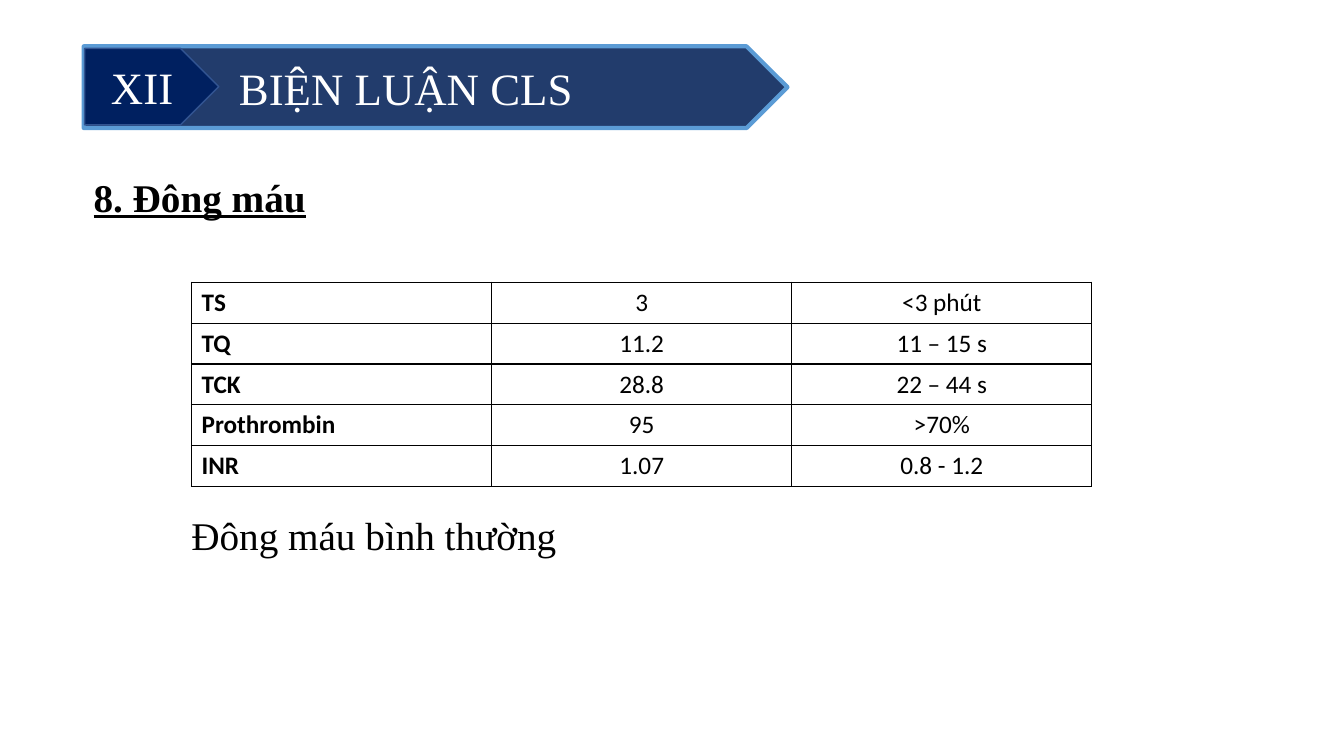
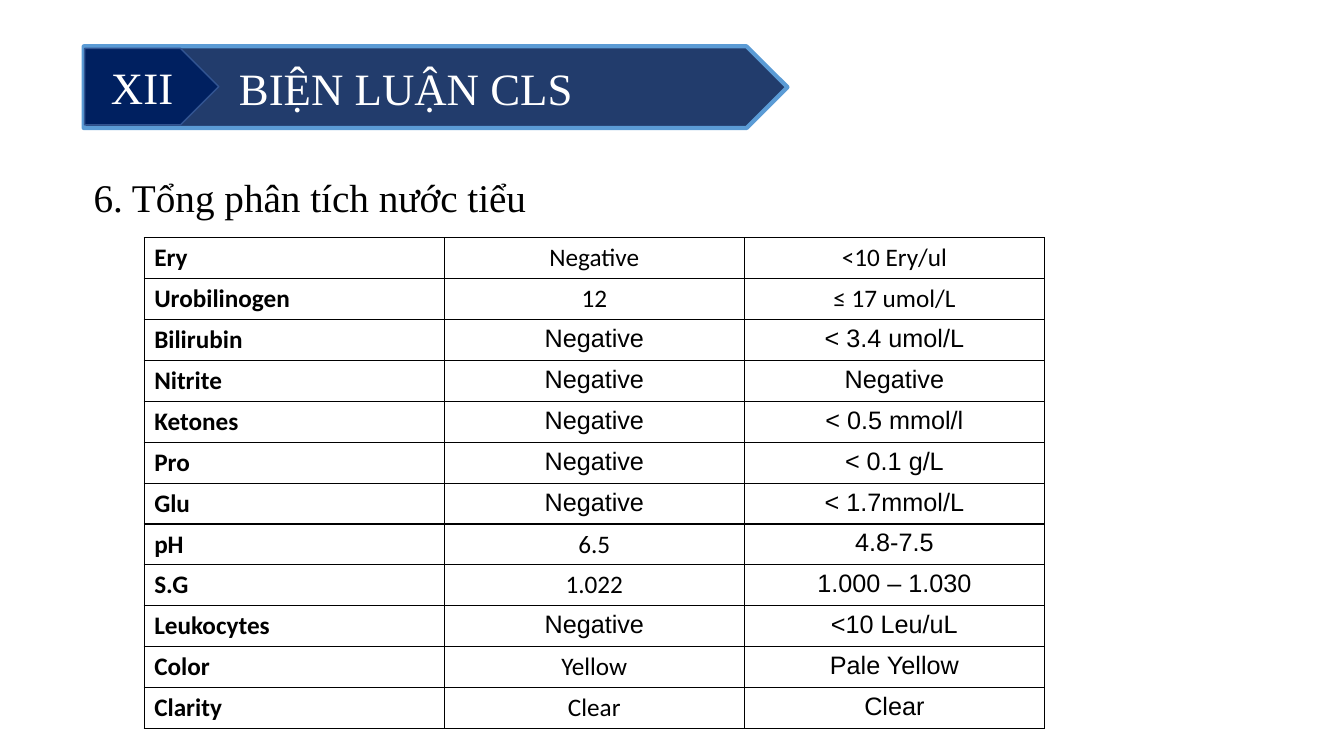
import pptx
import pptx.dml.color
import pptx.enum.shapes
import pptx.enum.text
import pptx.oxml
import pptx.oxml.ns
import pptx.util
from pptx.util import Inches

COLORS = {
    "text": "000000",
    "light": "FFFFFF",
    "banner": "223C6C",
    "banner_line": "5B9BD5",
    "number": "002060",
    "number_line": "325491",
}
SERIF, BODY, SANS = "Times New Roman", "Calibri", "Arial"
ALL_BODY = (BODY, BODY, BODY)
SANS_RANGE = (BODY, BODY, SANS)
SANS_RESULT = (BODY, SANS, SANS)
ALIGN = pptx.enum.text.PP_ALIGN
MIDDLE = pptx.enum.text.MSO_ANCHOR.MIDDLE

COAGULATION = [
    ("TS", "3", "<3 phút", ALL_BODY),
    ("TQ", "11.2", "11 – 15 s", ALL_BODY),
    ("TCK", "28.8", "22 – 44 s", ALL_BODY),
    ("Prothrombin", "95", ">70%", ALL_BODY),
    ("INR", "1.07", "0.8 - 1.2", ALL_BODY),
]
URINALYSIS = [
    ("Ery", "Negative", "<10 Ery/ul", ALL_BODY),
    ("Urobilinogen", "12", "≤ 17 umol/L", ALL_BODY),
    ("Bilirubin", "Negative", "< 3.4 umol/L", SANS_RESULT),
    ("Nitrite", "Negative", "Negative", SANS_RESULT),
    ("Ketones", "Negative", "< 0.5 mmol/l", SANS_RESULT),
    ("Pro", "Negative", "< 0.1 g/L", SANS_RESULT),
    ("Glu", "Negative", "< 1.7mmol/L", SANS_RESULT),
    ("pH", "6.5", "4.8-7.5", SANS_RANGE),
    ("S.G", "1.022", "1.000 – 1.030", SANS_RANGE),
    ("Leukocytes", "Negative", "<10 Leu/uL", SANS_RESULT),
    ("Color", "Yellow", "Pale Yellow", SANS_RANGE),
    ("Clarity", "Clear", "Clear", SANS_RANGE),
]


def rgb(name):
    return pptx.dml.color.RGBColor.from_string(COLORS[name])


class Deck:
    def __init__(self):
        self.presentation = pptx.Presentation()
        self.presentation.slide_width = Inches(13.33)
        self.presentation.slide_height = Inches(7.5)
        self.slide = None

    def set_text(self, frame, text, size, font=SERIF, color="text",
                 align=ALIGN.LEFT, bold=False, underline=False):
        frame.text = text
        paragraph = frame.paragraphs[0]
        paragraph.alignment = align
        paragraph.font.name = font
        paragraph.font.size = pptx.util.Pt(size)
        paragraph.font.bold = bold
        paragraph.font.underline = underline
        paragraph.font.color.rgb = rgb(color)
        return paragraph

    def arrow(self, left, top, width, height, fill, line, weight):
        shape = self.slide.shapes.add_shape(
            pptx.enum.shapes.MSO_SHAPE.PENTAGON,
            Inches(left), Inches(top), Inches(width), Inches(height))
        shape.shadow.inherit = False
        shape.fill.solid()
        shape.fill.fore_color.rgb = rgb(fill)
        shape.line.color.rgb = rgb(line)
        shape.line.width = pptx.util.Pt(weight)
        shape.text_frame.vertical_anchor = MIDDLE
        return shape

    def add_slide(self, number, title):
        layout = self.presentation.slide_layouts.get_by_name("Title Only")
        self.slide = self.presentation.slides.add_slide(layout)
        banner = self.arrow(0.83, 0.46, 6.98, 0.81, "banner", "banner_line", 3)
        badge = self.arrow(0.84, 0.48, 1.33, 0.76, "number", "number_line", 1)
        self.set_text(badge.text_frame, number, 32, color="light", align=ALIGN.CENTER)
        heading = self.slide.shapes.title
        heading.left, heading.top = Inches(2.27), banner.top
        heading.width, heading.height = Inches(5), banner.height
        frame = heading.text_frame
        frame.auto_size = pptx.enum.text.MSO_AUTO_SIZE.NONE
        frame.vertical_anchor = MIDDLE
        self.set_text(frame, title, 32, color="light")
        badge._element.addnext(heading._element)

    def text(self, left, top, text, **style):
        box = self.slide.shapes.add_textbox(
            Inches(left), Inches(top), Inches(10), Inches(0.5))
        box.text_frame.word_wrap = True
        self.set_text(box.text_frame, text, 28, **style).line_spacing = 0.9

    def border(self, cell):
        properties = cell._tc.get_or_add_tcPr()
        for side in ("lnL", "lnR", "lnT", "lnB"):
            properties.append(pptx.oxml.parse_xml(
                f'<a:{side} {pptx.oxml.ns.nsdecls("a")} w="12700"><a:solidFill>'
                f'<a:srgbClr val="{COLORS["text"]}"/></a:solidFill></a:{side}>'))

    def table(self, left, top, rows):
        row_height = pptx.util.Pt(29.2)
        table = self.slide.shapes.add_table(
            len(rows), 3, Inches(left), Inches(top),
            Inches(8.93), row_height * len(rows)).table
        table.first_row = False
        table.horz_banding = False
        for row, (*values, fonts) in zip(table.rows, rows):
            row.height = row_height
            for index, (cell, value, font) in enumerate(zip(row.cells, values, fonts)):
                self.border(cell)
                cell.fill.background()
                self.set_text(cell.text_frame, value, 18, font, bold=index == 0,
                              align=ALIGN.CENTER if index else ALIGN.LEFT)


def main():
    deck = Deck()
    section = ("XII", "BIỆN LUẬN CLS")

    deck.add_slide(*section)
    deck.text(0.83, 1.72, "8. Đông máu", bold=True, underline=True)
    deck.table(1.9, 2.8, COAGULATION)
    deck.text(1.8, 5.08, "Đông máu bình thường")

    deck.add_slide(*section)
    deck.text(0.83, 1.72, "6. Tổng phân tích nước tiểu")
    deck.table(1.43, 2.36, URINALYSIS)

    deck.presentation.save("out.pptx")


if __name__ == "__main__":
    main()
